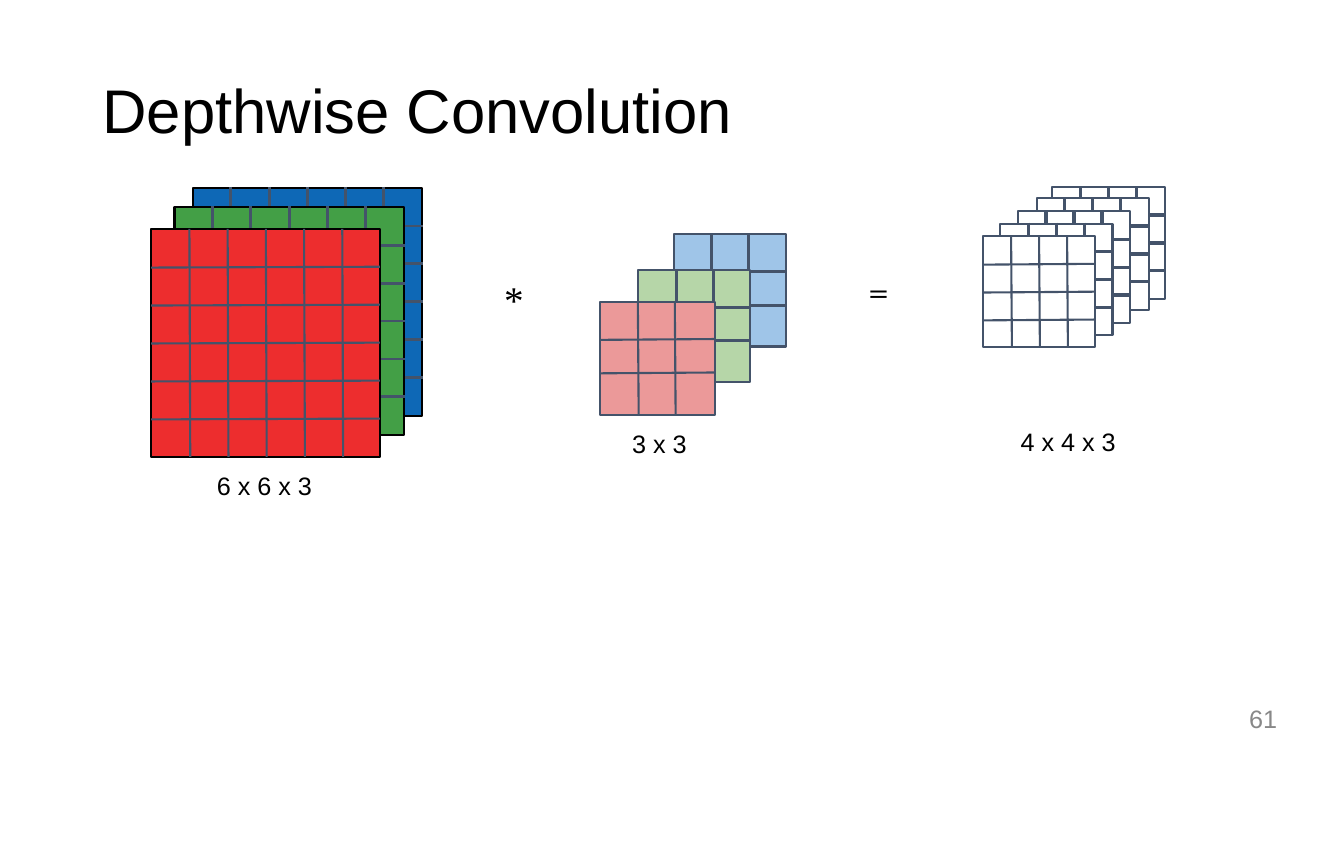
from itertools import chain, zip_longest

from pptx import Presentation
from pptx.dml.color import RGBColor
from pptx.enum.shapes import MSO_SHAPE as Shape
from pptx.enum.text import PP_ALIGN as Align
from pptx.util import Pt


def color(value):
    return RGBColor.from_string(value)


class Board:
    grid_color = "44536A"
    line_width = 1.5
    overshoot = 0.8
    tilt = 0.6

    def __init__(self, page):
        self.page = page

    def text(self, left, top, width, height, words, size=18, font="Arial",
             ink="000000", align=Align.LEFT, inset=0.8):
        box = self.page.shapes.add_textbox(Pt(left), Pt(top), Pt(width), Pt(height))
        frame = box.text_frame
        frame.word_wrap = True
        frame.margin_left = frame.margin_top = Pt(inset)
        frame.margin_right = frame.margin_bottom = 0
        para = frame.paragraphs[0]
        para.alignment = align
        span = para.add_run()
        span.text = words
        span.font.size = Pt(size)
        span.font.name = font
        span.font.color.rgb = color(ink)

    def square(self, left, top, width, height, fill, edge):
        shape = self.page.shapes.add_shape(
            Shape.RECTANGLE, Pt(left), Pt(top), Pt(width), Pt(height))
        shape.shadow.inherit = False
        shape.fill.solid()
        shape.fill.fore_color.rgb = color(fill)
        shape.line.color.rgb = color(edge)
        shape.line.width = Pt(self.line_width)

    def strokes(self, segments, width):
        first_x, first_y = segments[0][:2]
        outline = self.page.shapes.build_freeform(Pt(first_x), Pt(first_y))
        for x1, y1, x2, y2 in segments:
            if (x1, y1) != (first_x, first_y):
                outline.move_to(Pt(x1), Pt(y1))
            outline.add_line_segments([(Pt(x2), Pt(y2))], close=False)
        shape = outline.convert_to_shape()
        shape.shadow.inherit = False
        shape.fill.background()
        shape.line.color.rgb = color(self.grid_color)
        shape.line.width = Pt(width)

    def stack(self, layers, column_groups, rows, tick_width, edge=grid_color):
        for layer, front in zip_longest(layers, layers[1:]):
            left, top, width, height, fill = layer
            right, bottom = left + width, top + height
            self.square(left, top, width, height, fill, edge)
            if front:
                front_left, front_top, front_width = front[:3]
                for group in column_groups:
                    self.strokes([(left + x, top - self.overshoot, left + x, front_top)
                                  for x in group], tick_width)
                self.strokes([(front_left + front_width, top + y,
                               right + self.overshoot, top + y) for y in rows], tick_width)
            else:
                for x in chain.from_iterable(column_groups):
                    self.strokes([(left + x, top, left + x + self.tilt, bottom)],
                                 self.line_width)
                for y in rows:
                    self.strokes([(left, top + y + self.tilt, right, top + y)],
                                 self.line_width)


def cuts(pitch, cells):
    return [pitch * step for step in range(1, cells)]


def main():
    deck = Presentation()
    deck.slide_width, deck.slide_height = Pt(960), Pt(612)
    board = Board(deck.slides.add_slide(deck.slide_layouts[6]))

    input_layers = [
        (137.6, 134.3, 163.7, 162.9, "0E68B6"),
        (124.6, 148, 163.7, 162.9, "439F46"),
        (108, 163.4, 163.4, 162.9, "ED2D2E"),
    ]
    kernel_layers = [
        (481.3, 167.4, 80.2, 80.1, "9FC5E8"),
        (455.8, 192.8, 80.2, 80.3, "B6D6A8"),
        (428.4, 215.5, 82.2, 80.9, "EB9999"),
    ]
    output_corners = [(751.7, 133.7), (740.4, 141.6), (727.2, 151),
                      (714.5, 159.8), (702.2, 168.5)]
    output_layers = [(left, top, 80.2, 79.6, "FFFFFF") for left, top in output_corners]

    input_columns = cuts(27.3, 6)
    input_groups = [input_columns[2:4], input_columns[4:], input_columns[:2]]
    board.stack(input_layers, input_groups, cuts(27.1, 6), 2.08, "000000")
    board.stack(kernel_layers, [[27.2, 53.6]], [26.6, 50.5], 2.05)
    board.stack(output_layers, [cuts(20, 4)], cuts(19.9, 4), 2.31)

    board.text(72.4, 50.4, 477.4, 54.7, "Depthwise Convolution", 44)
    board.text(154.1, 335.2, 72, 23.8, "6 x 6 x 3")
    board.text(450.7, 304.9, 43, 23.8, "3 x 3")
    board.text(728.2, 303.8, 72, 23.8, "4 x 4 x 3")
    board.text(359.3, 195.8, 16, 35.3, "*", 28, "Times New Roman")
    board.text(619.4, 190.1, 19, 34.6, "=", 27, "Cambria")
    board.text(691.2, 502.2, 221, 27.4, "61", ink="888888", align=Align.RIGHT, inset=0)

    deck.save("out.pptx")


if __name__ == "__main__":
    main()
